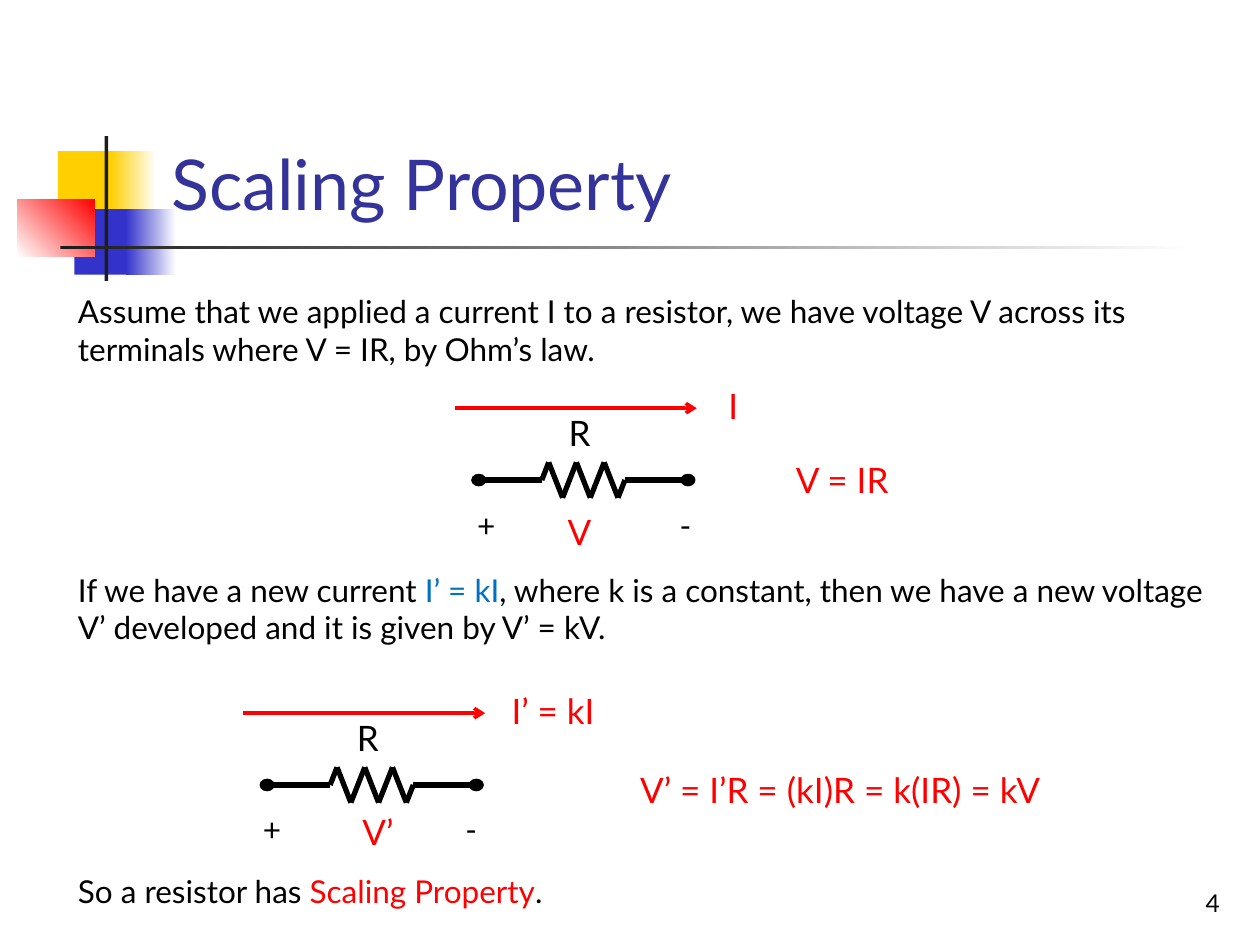
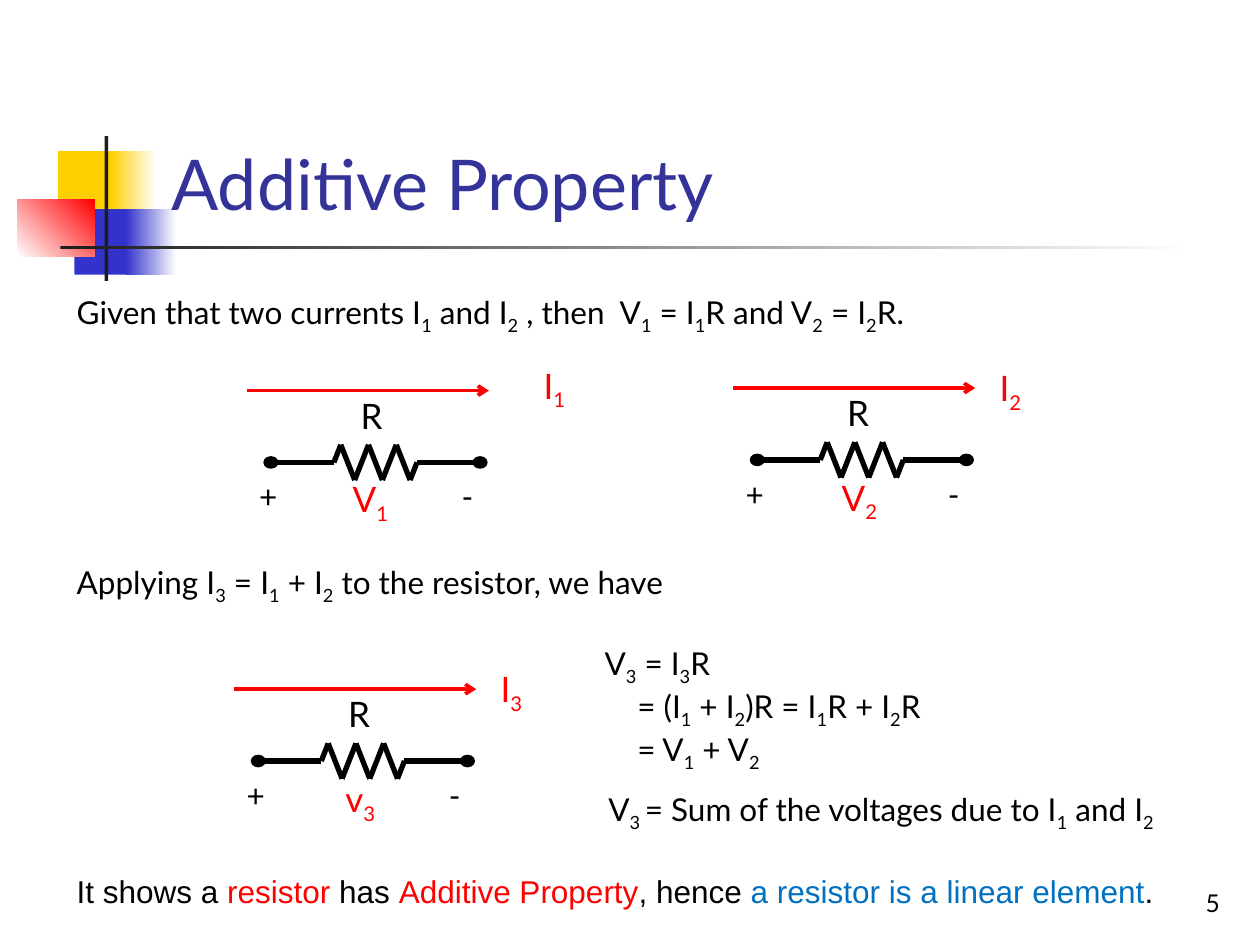
from dataclasses import dataclass
from itertools import groupby, pairwise

from lxml import etree
from pptx import Presentation
from pptx.dml.color import RGBColor
from pptx.enum.shapes import MSO_CONNECTOR as Connector, MSO_SHAPE as Shape
from pptx.enum.text import MSO_ANCHOR as Anchor, MSO_AUTO_SIZE as AutoSize, PP_ALIGN as Align
from pptx.oxml.ns import qn
from pptx.util import Inches, Pt


@dataclass(frozen=True)
class Theme:
    font: str = "Lato"
    closing_font: str = "Arial"
    title: str = "333399"
    ink: str = "000000"
    red: str = "FF0000"
    blue: str = "0070C0"
    yellow: str = "FFCF01"
    indigo: str = "3333CC"
    dark: str = "1C1C1C"
    white: str = "FFFFFF"
    title_size: int = 40
    label_size: int = 20
    body_size: int = 18
    number_size: int = 14


theme = Theme()
rgb = RGBColor.from_string


def write(shape, text, size=theme.body_size, color=theme.ink, font=theme.font,
          align=Align.LEFT, anchor=Anchor.TOP, later_indent=0):
    """Fill a shape with text: [red], <blue>, and _ before a subscript character."""
    frame = shape.text_frame
    frame.word_wrap = True
    frame.auto_size = AutoSize.NONE
    frame.vertical_anchor = anchor
    for number, line in enumerate(text.split("\n")):
        paragraph = frame.paragraphs[0] if number == 0 else frame.add_paragraph()
        paragraph.alignment = align
        if number and later_indent:
            paragraph._p.get_or_add_pPr().set("marL", str(Inches(later_indent)))
        styled, run_color, lowered = [], color, False
        for char in line:
            if char in "[]<>":
                run_color = {"[": theme.red, "<": theme.blue}.get(char, color)
            elif char == "_":
                lowered = True
            else:
                styled.append((char, run_color, lowered))
                lowered = False
        for (run_color, lowered), chars in groupby(styled, key=lambda item: item[1:]):
            run = paragraph.add_run()
            run.text = "".join(char for char, *_ in chars)
            run.font.name, run.font.size = font, Pt(size)
            run.font.color.rgb = rgb(run_color)
            if lowered:
                run.font._element.set("baseline", "-25000")


def draw_line(shapes, start, end, color, width, arrow=False):
    line = shapes.add_connector(Connector.STRAIGHT, *map(Inches, (*start, *end)))
    line.line.color.rgb = rgb(color)
    line.line.width = Pt(width)
    if arrow:
        etree.SubElement(line.line._get_or_add_ln(), qn("a:tailEnd"), type="arrow")
    etree.SubElement(line._element.spPr, qn("a:effectLst"))


deck = Presentation()
deck.slide_width, deck.slide_height = Inches(10), Inches(7.5)
layout = deck.slide_layouts[5]

# Content: the texts, then the circuits of each slide
pages = [
    {
        "title": "Scaling Property",
        "number": "4",
        "texts": [
            ((0.52, 2.27, 9.31, 0.7), "Assume that we applied a current I to a resistor, we have "
             "voltage V across its terminals where V = IR, by Ohm’s law.", {}),
            ((0.52, 4.48, 9.31, 0.7), "If we have a new current <I’ = kI>, where k is a constant, "
             "then we have a new voltage V’ developed and it is given by V’ = kV.", {}),
            ((0.52, 6.87, 9.31, 0.4), "So a resistor has [Scaling Property].", {}),
            ((5.85, 3.59, 1.67, 0.44), "[V = IR]",
             {"size": theme.label_size, "align": Align.CENTER}),
            ((4.38, 6.05, 4.58, 0.44), "[V’ = I’R = (kI)R = k(IR) = kV]",
             {"size": theme.label_size, "align": Align.CENTER}),
        ],
        # node x, node y, current, its offset x and y, voltage, its offset x and y, sign offset x and y
        "circuits": [
            (3.8, 3.81, "I", 2.02, -0.81, "V", 0.8, 0.19, 0.06, 0.16),
            (2.12, 6.23, "I’ = kI", 2.27, -0.81, "V’", 0.88, 0.15, 0.04, 0.15),
        ],
    },
    {
        "title": "Additive Property",
        "number": "5",
        "texts": [
            ((0.51, 2.28, 9.21, 0.4),
             "Given that two currents I_1 and I_2 , then  V_1 = I_1R and V_2 = I_2R.", {}),
            ((0.51, 4.42, 9.21, 0.4), "Applying I_3 = I_1 + I_2 to the resistor, we have", {}),
            ((0.51, 6.87, 9.21, 0.4), "It shows a [resistor] has [Additive Property], hence "
             "<a resistor is a linear element>.", {"font": theme.closing_font}),
            ((4.7, 5.06, 4.57, 1.01), "V_3 = I_3R\n= (I_1 + I_2)R = I_1R + I_2R\n= V_1 + V_2",
             {"later_indent": 0.26}),
            ((4.73, 6.22, 4.8, 0.4), "V_3_ = Sum of the voltages due to I_1 and I_2", {}),
        ],
        "circuits": [
            (2.15, 3.67, "I_1", 2.25, -0.83, "V_1", 0.79, 0.07, -0.02, 0.07),
            (6.01, 3.65, "I_2", 2.01, -0.79, "V_2", 0.81, 0.08, -0.02, 0.07),
            (2.05, 6.04, "I_3", 2.01, -0.79, "v_3", 0.81, 0.08, -0.02, 0.07),
        ],
    },
]
slides = [deck.slides.add_slide(layout) for _ in pages]

# Shared decoration, drawn once and moved to the layout
decoration = [
    ((0.46, 1.2, 0.48, 0.52), theme.yellow, None, 0),
    ((0.88, 1.2, 0.36, 0.52), theme.yellow, theme.white, 0),
    ((0.59, 1.66, 0.46, 0.52), theme.indigo, None, 0),
    ((1, 1.66, 0.4, 0.52), theme.indigo, theme.white, 0),
    ((0.14, 1.58, 0.61, 0.46), theme.white, theme.red, 45),
    ((0.83, 1.08, 0.03, 1.15), theme.dark, None, 0),
    ((0.48, 1.95, 9, 0.03), theme.dark, theme.white, 0),
]
for box, start_color, end_color, angle in decoration:
    block = slides[0].shapes.add_shape(Shape.RECTANGLE, *map(Inches, box))
    block.shadow.inherit = False
    block.line.fill.background()
    if end_color:
        block.fill.gradient()
        block.fill.gradient_angle = angle
        for stop, color in zip(block.fill.gradient_stops, (start_color, end_color)):
            stop.color.rgb = rgb(color)
    else:
        block.fill.solid()
        block.fill.fore_color.rgb = rgb(start_color)
    layout.shapes.element.append(block.element)

# Resistor outline relative to its left node
span, wire, peak = 1.66, 0.5, 0.14
zigzag = [(wire + 0.055 + 0.11 * i, peak if i % 2 else -peak) for i in range(6)]
outline = [(0, 0), (wire, 0), *zigzag, (span - wire, 0), (span, 0)]
dot_width, dot_height = 0.11, 0.09

for slide, page in zip(slides, pages):
    shapes = slide.shapes
    title = shapes.title
    title.left, title.top, title.width, title.height = map(Inches, (1.26, 0.23, 8.52, 1.6))
    write(title, page["title"], size=theme.title_size, color=theme.title, anchor=Anchor.BOTTOM)

    for box, text, style in page["texts"]:
        write(shapes.add_textbox(*map(Inches, box)), text, **style)

    for (x, y, current, current_x, current_y,
         voltage, voltage_x, voltage_y, sign_x, sign_y) in page["circuits"]:
        resistor = shapes.add_group_shape().shapes
        for start, end in pairwise([(x + dx, y + dy) for dx, dy in outline]):
            draw_line(resistor, start, end, theme.ink, 3)
        for node_x in (x, x + span):
            dot = resistor.add_shape(Shape.OVAL, *map(Inches, (
                node_x - dot_width / 2, y - dot_height / 2, dot_width, dot_height)))
            dot.shadow.inherit = False
            dot.fill.solid()
            dot.fill.fore_color.rgb = dot.line.color.rgb = rgb(theme.ink)
            dot.line.width = Pt(0.75)

        draw_line(shapes, (x - 0.19, y - 0.57), (x + 1.73, y - 0.57), theme.red, 2, arrow=True)
        labels = [
            ("R", 0.8, -0.59, theme.label_size, theme.ink),
            (voltage, voltage_x, voltage_y, theme.label_size, theme.red),
            (current, current_x, current_y, theme.label_size, theme.red),
            ("+", sign_x, sign_y, theme.body_size, theme.ink),
            ("-", sign_x + 1.58, sign_y, theme.body_size, theme.ink),
        ]
        for text, center_x, top, size, color in labels:
            label = shapes.add_textbox(*map(Inches, (x + center_x - 0.5, y + top, 1, 0.44)))
            write(label, text, size=size, color=color, align=Align.CENTER)

    number = shapes.add_textbox(*map(Inches, (7.7, 6.83, 2.08, 0.5)))
    write(number, page["number"], size=theme.number_size, align=Align.RIGHT, anchor=Anchor.BOTTOM)

deck.save("out.pptx")
